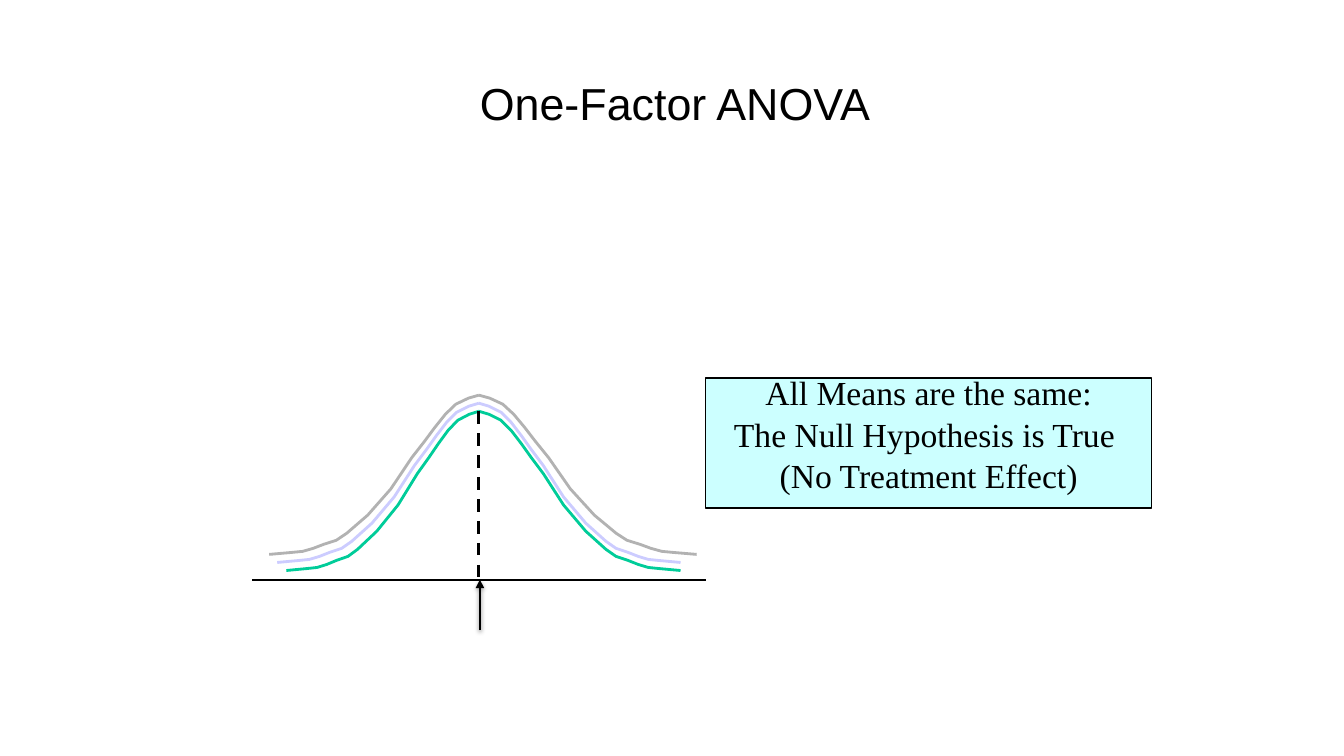
from lxml import etree
from pptx import Presentation
from pptx.dml.color import RGBColor
from pptx.enum.dml import MSO_LINE
from pptx.enum.shapes import MSO_CONNECTOR, MSO_SHAPE
from pptx.enum.text import MSO_ANCHOR, PP_ALIGN
from pptx.oxml import parse_xml
from pptx.oxml.ns import nsdecls, qn
from pptx.util import Inches, Pt

DASH = MSO_LINE.DASH
LINE = MSO_CONNECTOR.STRAIGHT
RECT = MSO_SHAPE.RECTANGLE
MID, TOP = MSO_ANCHOR.MIDDLE, MSO_ANCHOR.TOP
CENTER = PP_ALIGN.CENTER

TITLE = "One-Factor ANOVA "
NOTE = [
    ("All Means are the same:", 0.7, 0),
    ("The Null Hypothesis is True ", 0.6, 12),
    ("(No Treatment Effect)", 0.6, 12),
]
MEAN = 4.75
BELL = [
    (1, 1.58), (0.89, 1.56), (0.84, 1.55), (0.79, 1.52),
    (0.74, 1.48), (0.68, 1.44), (0.63, 1.37), (0.53, 1.19),
    (0.42, 0.93), (0.32, 0.62), (0.26, 0.46), (0.21, 0.32),
    (0.16, 0.19), (0.11, 0.09), (0.05, 0.03), (0, 0),
]
CURVES = [
    ("00CC99", 4.08, 2, 1.91),
    ("CCCCFF", 4, 2, 2),
    ("B2B2B2", 3.92, 2.16, 2.08),
]
SHADOW = (
    f'<a:effectLst {nsdecls("a")}>'
    '<a:outerShdw blurRad="39370" dist="20320" dir="5400000" rotWithShape="0">'
    '<a:srgbClr val="000000"><a:alpha val="38000"/></a:srgbClr>'
    '</a:outerShdw></a:effectLst>'
)


def color(code):
    return RGBColor.from_string(code)


def stroke(line, code, width):
    line.color.rgb = color(code)
    line.width = Pt(width)


def style(para, text, font, size, **form):
    para.text = text
    for key, value in form.items():
        setattr(para, key, value)
    look = {"name": font, "size": Pt(size)}
    for key, value in look.items():
        setattr(para.runs[0].font, key, value)
    para.runs[0].font.color.rgb = color("000000")


def half(code, top, reach):
    spots = [(Inches(MEAN + reach * x), Inches(top + y)) for x, y in BELL]
    pen = slide.shapes.build_freeform(*spots[0])
    pen.add_line_segments(spots[1:], close=False)
    curve = pen.convert_to_shape()
    curve.shadow.inherit = False
    curve.fill.background()
    stroke(curve.line, code, 2)


def rule(start, end, width):
    link = slide.shapes.add_connector(LINE, *map(Inches, start + end))
    stroke(link.line, "000000", width)
    return link


def flat(link):
    etree.SubElement(link._element.spPr, qn("a:effectLst"))


deck = Presentation()
deck.slide_width, deck.slide_height = Inches(13.33), Inches(7.5)
slide = deck.slides.add_slide(deck.slide_layouts[5])

title = slide.shapes.title
spot = {"left": 2.87, "top": 0.58, "width": 7.75, "height": 0.83}
for key, value in spot.items():
    setattr(title, key, Inches(value))
title.text_frame.vertical_anchor = MID
style(title.text_frame.paragraphs[0], TITLE, "Arial", 32,
      alignment=CENTER, line_spacing=1.1)

for code, top, right, left in CURVES:
    for reach in (right, -left):
        half(code, top, reach)

box = slide.shapes.add_shape(RECT, *map(Inches, (7, 3.75, 4.42, 1.29)))
box.shadow.inherit = False
box.fill.solid()
box.fill.fore_color.rgb = color("CCFFFF")
stroke(box.line, "000000", 1)
frame = box.text_frame
frame.word_wrap = True
frame.vertical_anchor = TOP
for i, (text, pitch, gap) in enumerate(NOTE):
    para = frame.add_paragraph() if i else frame.paragraphs[0]
    style(para, text, "Times New Roman", 24, alignment=CENTER,
          line_spacing=pitch, space_before=Pt(gap))

drop = rule((MEAN, 4.08), (MEAN, 5.75), 2.25)
drop.line.dash_style = DASH
flat(drop)

arrow = rule((4.76, 6.25), (4.76, 5.75), 2)
etree.SubElement(arrow.line._get_or_add_ln(), qn("a:tailEnd"), type="triangle")
arrow._element.spPr.append(parse_xml(SHADOW))

flat(rule((2.5, 5.75), (7, 5.75), 1.5))

deck.save("out.pptx")
